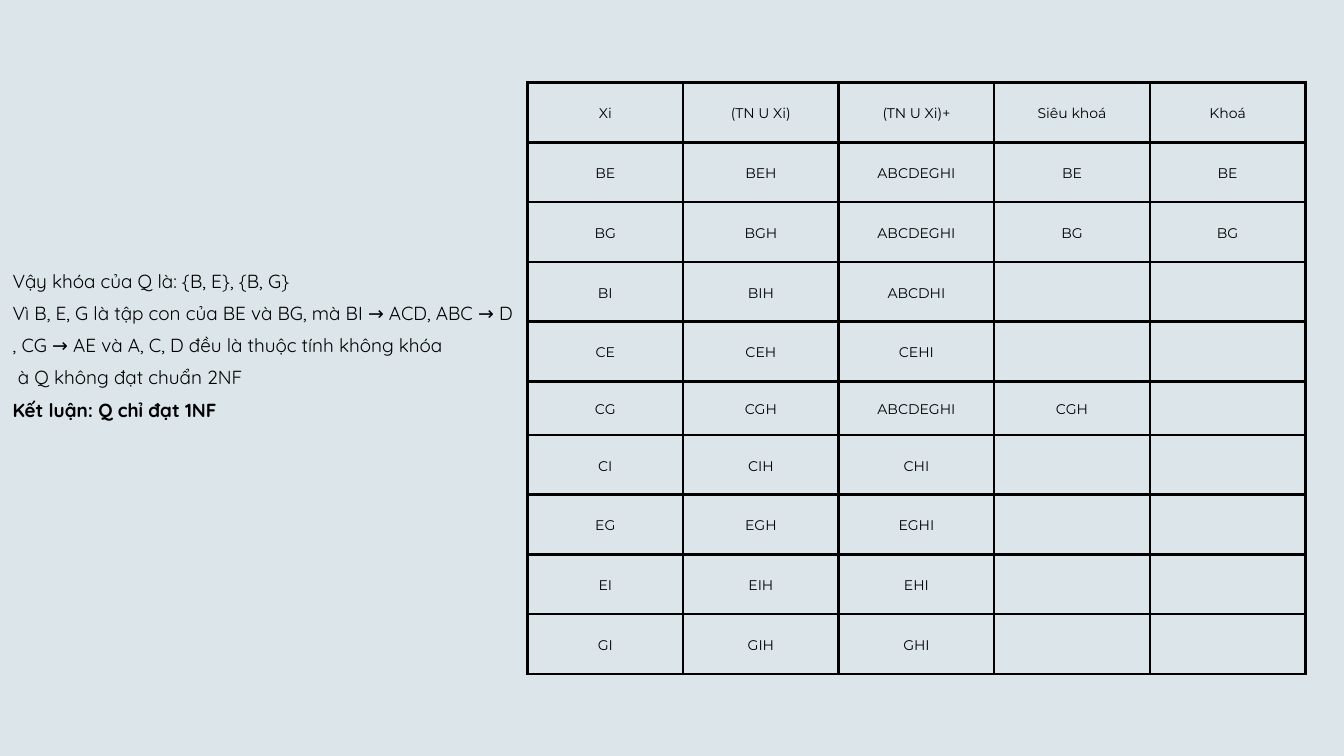
from lxml import etree
from pptx import Presentation
from pptx import util as u
from pptx.dml.color import RGBColor
from pptx.enum import text
from pptx.oxml import ns

COLORS = {"background": "DBE5EA", "ink": "000000"}
INK = RGBColor.from_string(COLORS["ink"])


def add_span(para, words, font, size, bold=False):
    span = para.add_run()
    span.text = words
    span.font.name = font
    span.font.size = u.Pt(size)
    span.font.bold = bold
    span.font.color.rgb = INK


def add_borders(cell, width):
    properties = cell._tc.get_or_add_tcPr()
    for index, side in enumerate(("lnL", "lnR", "lnT", "lnB")):
        line = etree.Element(ns.qn(f"a:{side}"), w=str(width))
        fill = etree.SubElement(line, ns.qn("a:solidFill"))
        etree.SubElement(fill, ns.qn("a:srgbClr"), val=COLORS["ink"])
        properties.insert(index, line)


# Page
deck = Presentation()
deck.slide_width = u.Cm(50.8)
deck.slide_height = u.Cm(28.58)
page = deck.slides.add_slide(deck.slide_layouts[6])
page.background.fill.solid()
page.background.fill.fore_color.rgb = RGBColor.from_string(COLORS["background"])

# Table of attribute closures and keys
closures = [
    ("Xi", "(TN U Xi)", "(TN U Xi)+", "Siêu khoá", "Khoá"),
    ("BE", "BEH", "ABCDEGHI", "BE", "BE"),
    ("BG", "BGH", "ABCDEGHI", "BG", "BG"),
    ("BI", "BIH", "ABCDHI", "", ""),
    ("CE", "CEH", "CEHI", "", ""),
    ("CG", "CGH", "ABCDEGHI", "CGH", ""),
    ("CI", "CIH", "CHI", "", ""),
    ("EG", "EGH", "EGHI", "", ""),
    ("EI", "EIH", "EHI", "", ""),
    ("GI", "GIH", "GHI", "", ""),
]
table = page.shapes.add_table(
    len(closures), len(closures[0]), u.Cm(19.94), u.Cm(3.12), u.Cm(29.4), u.Cm(22.3)
).table
table.first_row = False
table.horz_banding = False
for column in table.columns:
    column.width = u.Cm(5.88)
for row in table.rows:
    row.height = u.Cm(2.26)
table.rows[5].height = u.Cm(2.03)

for row, values in zip(table.rows, closures):
    for cell, value in zip(row.cells, values):
        cell.fill.background()
        add_borders(cell, u.Pt(3))
        cell.vertical_anchor = text.MSO_ANCHOR.MIDDLE
        cell.margin_left = cell.margin_right = u.Cm(0.53)
        cell.margin_top = cell.margin_bottom = u.Cm(0.53)
        para = cell.text_frame.paragraphs[0]
        para.alignment = text.PP_ALIGN.CENTER
        para.line_spacing = u.Pt(21)
        if value:
            add_span(para, value, "Montserrat", 15)

# Conclusion on the normal form
conclusion = [
    ("Vậy khóa của Q là: {B, E}, {B, G}", False),
    ("Vì B, E, G là tập con của BE và BG, mà BI → ACD, ABC → D", False),
    (", CG → AE và A, C, D đều là thuộc tính không khóa", False),
    (" à Q không đạt chuẩn 2NF", False),
    ("Kết luận: Q chỉ đạt 1NF", True),
]
box = page.shapes.add_textbox(u.Cm(0.48), u.Cm(9.83), u.Cm(19.18), u.Cm(5.99))
frame = box.text_frame
frame.word_wrap = True
frame.auto_size = text.MSO_AUTO_SIZE.SHAPE_TO_FIT_TEXT
frame.margin_left = frame.margin_right = frame.margin_top = frame.margin_bottom = 0
for index, (words, bold) in enumerate(conclusion):
    para = frame.add_paragraph() if index else frame.paragraphs[0]
    para.line_spacing = u.Pt(34.5)
    add_span(para, words, "Quicksand", 20.3, bold)

deck.save("out.pptx")
